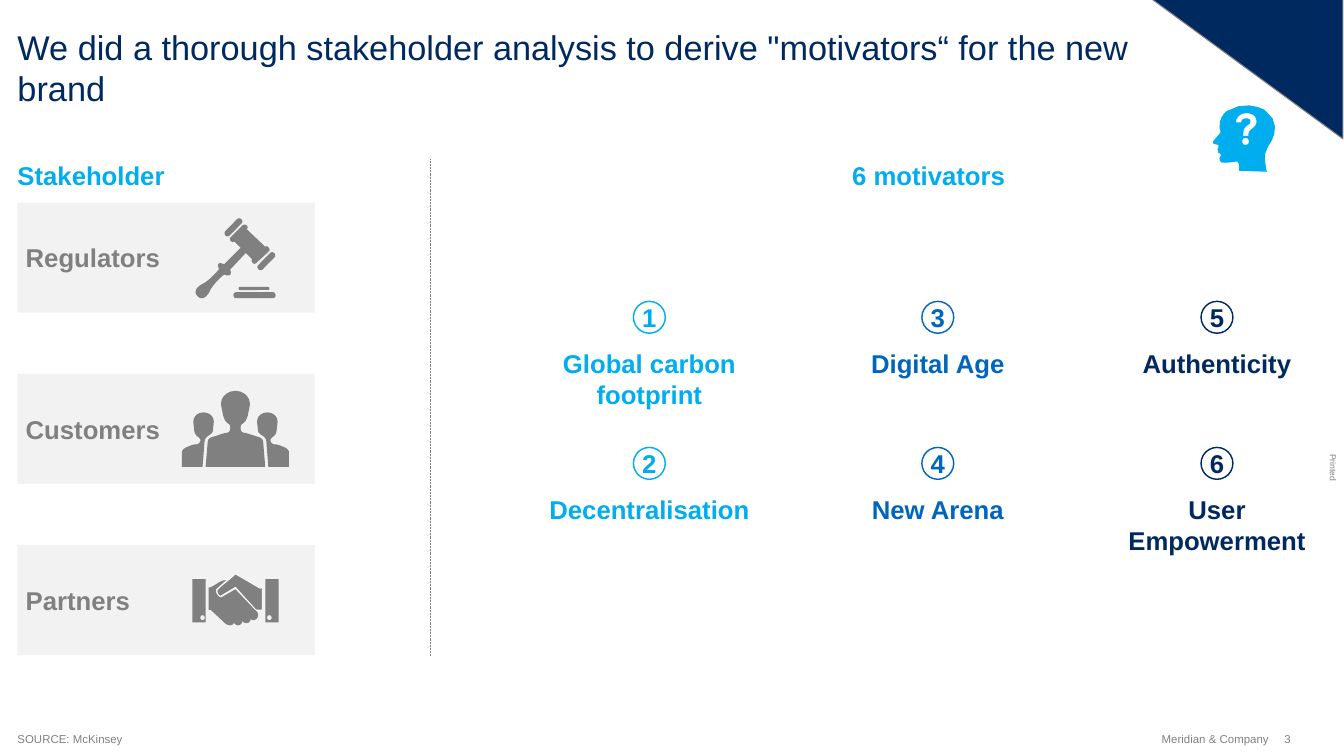
from lxml import etree
from pptx import Presentation
from pptx.dml.color import RGBColor
from pptx.enum import dml, shapes, text
from pptx.oxml.ns import qn
from pptx.util import Inches, Pt

NAVY, BLUE, CYAN = "002960", "0065BD", "00ADEF"
GREY, PALE, WHITE = "808080", "F2F2F2", "FFFFFF"
LEFT, CENTER, RIGHT = text.PP_ALIGN.LEFT, text.PP_ALIGN.CENTER, text.PP_ALIGN.RIGHT
TOP, MIDDLE, BOTTOM = text.MSO_ANCHOR.TOP, text.MSO_ANCHOR.MIDDLE, text.MSO_ANCHOR.BOTTOM
SHAPE = shapes.MSO_SHAPE
color = RGBColor.from_string

presentation = Presentation()
presentation.slide_width, presentation.slide_height = Inches(13.07), Inches(7.35)
slide = presentation.slides.add_slide(presentation.slide_layouts[5])


def write(shape, words, size=18, fill=GREY, bold=False, align=LEFT, anchor=TOP, inset=0, wrap=True):
    frame = shape.text_frame
    frame.word_wrap = wrap
    frame.auto_size = text.MSO_AUTO_SIZE.NONE
    frame.vertical_anchor = anchor
    frame.margin_left = frame.margin_right = Inches(inset)
    frame.margin_top = frame.margin_bottom = Inches(inset)
    paragraph = frame.paragraphs[0]
    paragraph.text = words
    paragraph.alignment = align
    font = paragraph.font
    font.name, font.size, font.bold = "Arial", Pt(size), bold
    font.color.rgb = color(fill)


def draw_outline(contours, fill):
    """Fill closed contours; a pair is a corner, six numbers are a Bezier curve."""
    builder = None
    for start, *steps in contours:
        points = [start]
        for step in steps:
            if len(step) == 2:
                points.append(step)
                continue
            x0, y0 = points[-1]
            x1, y1, x2, y2, x3, y3 = step
            for t in (0.2, 0.4, 0.6, 0.8, 1):
                a, b, c, d = (1 - t) ** 3, 3 * t * (1 - t) ** 2, 3 * t * t * (1 - t), t ** 3
                points.append((a * x0 + b * x1 + c * x2 + d * x3,
                               a * y0 + b * y1 + c * y2 + d * y3))
        points = [(Inches(x), Inches(y)) for x, y in points]
        if builder is None:
            builder = slide.shapes.build_freeform(*points[0])
        else:
            builder.move_to(*points[0])
        builder.add_line_segments(points[1:], close=True)
    shape = builder.convert_to_shape()
    shape.shadow.inherit = False
    shape.fill.solid()
    shape.fill.fore_color.rgb = color(fill)
    shape.line.fill.background()
    return shape


# Title and corner
title = slide.shapes.title
title.left, title.top, title.width, title.height = map(Inches, (0.17, 0.25, 11.4, 0.81))
write(title, "We did a thorough stakeholder analysis to derive \"motivators“ for the new brand",
      size=24, fill=NAVY)

corner = slide.shapes.add_shape(SHAPE.RIGHT_TRIANGLE, *map(Inches, (11.2, -0.01, 1.86, 1.36)))
corner.rotation = 180
corner.shadow.inherit = False
corner.fill.solid()
corner.fill.fore_color.rgb = color(NAVY)
corner.line.color.rgb = color(GREY)
corner.line.width = Pt(0.75)

# Headings, footer and side note
for words, box, style in (
    ("Stakeholder", (0.17, 1.55, 2.55, 0.3), dict(fill=CYAN, bold=True, anchor=BOTTOM)),
    ("6 motivators", (5.32, 1.55, 7.42, 0.3),
     dict(fill=CYAN, bold=True, align=CENTER, anchor=BOTTOM)),
    ("SOURCE: McKinsey", (0.17, 7.12, 8.16, 0.13), dict(size=8, anchor=BOTTOM)),
    ("Meridian & Company", (11.23, 7.12, 1.11, 0.13),
     dict(size=8, align=RIGHT, anchor=MIDDLE, wrap=False)),
    ("3", (12.49, 7.12, 0.14, 0.13), dict(size=8, anchor=MIDDLE, wrap=False)),
):
    write(slide.shapes.add_textbox(*map(Inches, box)), words, **style)

side_note = slide.shapes.add_textbox(*map(Inches, (12.83, 4.5, 0.27, 0.1)))
side_note.rotation = 90
write(side_note, "Printed", size=6, wrap=False)

divider = slide.shapes.add_connector(shapes.MSO_CONNECTOR.STRAIGHT,
                                     *map(Inches, (4.19, 1.55, 4.19, 6.37)))
divider.line.color.rgb = color(GREY)
divider.line.width = Pt(0.5)
divider.line.dash_style = dml.MSO_LINE.ROUND_DOT
etree.SubElement(divider._element.spPr, qn("a:effectLst"))

# Motivators: three columns of two
columns = (
    (5.32, 1.99, CYAN, ("Global carbon footprint", "Decentralisation")),
    (8.44, 1.36, BLUE, ("Digital Age", "New Arena")),
    (10.93, 1.81, NAVY, ("Authenticity", "User Empowerment")),
)
number = 0
for left, width, shade, motivators in columns:
    for row, motivator in enumerate(motivators):
        number += 1
        top = 2.93 + row * 1.42
        circle = slide.shapes.add_shape(
            SHAPE.OVAL, *map(Inches, (left + width / 2 - 0.155, top, 0.31, 0.31)))
        circle.shadow.inherit = False
        circle.fill.solid()
        circle.fill.fore_color.rgb = color(WHITE)
        circle.line.color.rgb = color(shade)
        circle.line.width = Pt(1)
        write(circle, str(number), fill=shade, bold=True, align=CENTER, anchor=MIDDLE, wrap=False)
        label = slide.shapes.add_textbox(*map(Inches, (left, top + 0.45, width, 0.61)))
        write(label, motivator, fill=shade, bold=True, align=CENTER)

# Stakeholder cards, gavel bars and fingers
ROUND, OVAL = SHAPE.ROUNDED_RECTANGLE, SHAPE.OVAL
cards = [(SHAPE.RECTANGLE, (0.17, 1.97 + row * 1.665, 2.89, 1.07), 0, PALE, name)
         for row, name in enumerate(("Regulators", "Customers", "Partners"))]
icon_parts = [
    (ROUND, (2.16, 2.18, 0.22, 0.06), 314.4, GREY, ""),
    (ROUND, (2.48, 2.51, 0.22, 0.06), 314.4, GREY, ""),
    (ROUND, (2.32, 2.79, 0.3, 0.03), 0, GREY, ""),
    (ROUND, (2.27, 2.84, 0.41, 0.06), 0, GREY, ""),
    (OVAL, (2.42, 5.93, 0.09, 0.1), 0, GREY, ""),
    (OVAL, (2.35, 5.96, 0.09, 0.1), 0, GREY, ""),
    (OVAL, (2.27, 5.98, 0.09, 0.1), 0, GREY, ""),
    (OVAL, (2.19, 6, 0.09, 0.08), 0, GREY, ""),
]
for kind, box, rotation, fill, name in cards + icon_parts:
    part = slide.shapes.add_shape(kind, *map(Inches, box))
    part.rotation = rotation
    part.shadow.inherit = False
    part.fill.solid()
    part.fill.fore_color.rgb = color(fill)
    part.line.fill.background()
    if kind == ROUND:
        part.adjustments[0] = 0.45
    if name:
        write(part, name, bold=True, anchor=MIDDLE, inset=0.08)

# Gavel
draw_outline([[
    (2.4, 2.23), (2.58, 2.4), (2.6, 2.38, 2.63, 2.42, 2.62, 2.44), (2.49, 2.56),
    (2.46, 2.58, 2.44, 2.54, 2.45, 2.52), (2.39, 2.46), (2.24, 2.62),
    (2.26, 2.68, 2.23, 2.69, 2.18, 2.67), (2.14, 2.7, 2.09, 2.75, 2.05, 2.81),
    (2.02, 2.89, 1.96, 2.93, 1.92, 2.88), (1.88, 2.84, 1.9, 2.79, 1.99, 2.75),
    (2.05, 2.71, 2.08, 2.67, 2.13, 2.62), (2.1, 2.55, 2.14, 2.55, 2.18, 2.57),
    (2.34, 2.41), (2.28, 2.35), (2.26, 2.37, 2.22, 2.33, 2.24, 2.31), (2.36, 2.19),
    (2.38, 2.17, 2.43, 2.2, 2.4, 2.23)]], GREY)

# People: the right half, mirrored at x = 2.29
right_half = [
    [(2.29, 3.8), (2.37, 3.8, 2.43, 3.86, 2.43, 3.92), (2.43, 3.94), (2.41, 4.04),
     (2.4, 4.07, 2.39, 4.1, 2.36, 4.12), (2.35, 4.12, 2.34, 4.14, 2.34, 4.16),
     (2.34, 4.19, 2.35, 4.21, 2.39, 4.21), (2.43, 4.22, 2.48, 4.24, 2.52, 4.25),
     (2.54, 4.26, 2.56, 4.27, 2.56, 4.3), (2.58, 4.54), (2.29, 4.54)],
    [(2.51, 4.19), (2.51, 4.2, 2.52, 4.21, 2.53, 4.22), (2.56, 4.24, 2.59, 4.26, 2.59, 4.29),
     (2.61, 4.54), (2.81, 4.54), (2.81, 4.39), (2.8, 4.37, 2.79, 4.36, 2.77, 4.35),
     (2.74, 4.34, 2.71, 4.32, 2.67, 4.32), (2.65, 4.32, 2.63, 4.3, 2.63, 4.28),
     (2.63, 4.27, 2.64, 4.26, 2.65, 4.25), (2.67, 4.24, 2.69, 4.21, 2.69, 4.19),
     (2.7, 4.1), (2.7, 4.05, 2.66, 4.01, 2.6, 4.01), (2.54, 4.01, 2.5, 4.05, 2.5, 4.1)],
]
left_half = [[tuple(4.58 - value if i % 2 == 0 else value for i, value in enumerate(step))
              for step in contour] for contour in right_half]
draw_outline(right_half + left_half, GREY)

# Handshake: back hand, front hand, cuffs with a button
draw_outline([[(2.03, 5.71), (2.05, 5.71), (2.1, 5.69, 2.14, 5.64, 2.2, 5.64), (2.1, 5.73),
               (2.09, 5.76, 2.12, 5.8, 2.15, 5.81), (2.29, 5.73), (2.49, 5.94), (2.2, 6.07),
               (2.05, 5.93), (2.03, 5.93)]], GREY)
front_hand = draw_outline([[
    (2.11, 5.74), (2.15, 5.69, 2.23, 5.64, 2.29, 5.58), (2.53, 5.72), (2.55, 5.71), (2.55, 5.93),
    (2.49, 5.93), (2.29, 5.71), (2.14, 5.8), (2.12, 5.78, 2.11, 5.76, 2.11, 5.74)]], GREY)
front_hand.line.color.rgb = color(WHITE)
front_hand.line.width = Pt(0.5)
for left, button in ((1.87, 1.97), (2.58, 2.62)):
    draw_outline([
        [(left, 5.63), (left + 0.13, 5.63), (left + 0.13, 6.05), (left, 6.05)],
        [(button, 5.98), (button - 0.03, 5.98, button - 0.03, 6.03, button, 6.03),
         (button + 0.03, 6.03, button + 0.03, 5.98, button, 5.98)]], GREY)

# Head with a question mark
draw_outline([
    [(12.36, 1.38), (12.36, 1.38, 12.48, 1.19, 12.3, 1.07), (12.3, 1.07, 12.13, 0.96, 11.93, 1.08),
     (11.93, 1.08, 11.85, 1.13, 11.86, 1.25), (11.86, 1.25, 11.88, 1.28, 11.86, 1.3), (11.8, 1.37),
     (11.8, 1.37, 11.79, 1.4, 11.81, 1.4), (11.85, 1.41), (11.85, 1.43), (11.84, 1.45),
     (11.85, 1.47), (11.84, 1.48), (11.86, 1.49), (11.86, 1.49, 11.88, 1.5, 11.87, 1.52),
     (11.87, 1.52, 11.84, 1.55, 11.88, 1.58), (11.88, 1.58, 11.9, 1.59, 12.03, 1.57),
     (12.03, 1.57, 12.06, 1.58, 12.05, 1.66), (12.32, 1.67),
     (12.32, 1.67, 12.3, 1.58, 12.3, 1.51), (12.3, 1.51, 12.32, 1.43, 12.36, 1.38)],
    [(12.11, 1.34), (12.16, 1.34, 12.16, 1.41, 12.11, 1.41), (12.07, 1.41, 12.07, 1.34, 12.11, 1.34)],
    [(12.22, 1.18), (12.22, 1.21, 12.2, 1.23, 12.18, 1.25), (12.15, 1.27, 12.14, 1.28, 12.14, 1.32),
     (12.09, 1.32), (12.09, 1.26, 12.1, 1.24, 12.13, 1.22), (12.16, 1.2, 12.16, 1.19, 12.16, 1.18),
     (12.16, 1.16, 12.14, 1.15, 12.12, 1.15), (12.09, 1.15, 12.07, 1.17, 12.07, 1.19),
     (12.02, 1.19), (12.02, 1.14, 12.06, 1.1, 12.12, 1.1), (12.18, 1.1, 12.22, 1.13, 12.22, 1.18)],
], CYAN)

presentation.save("out.pptx")
